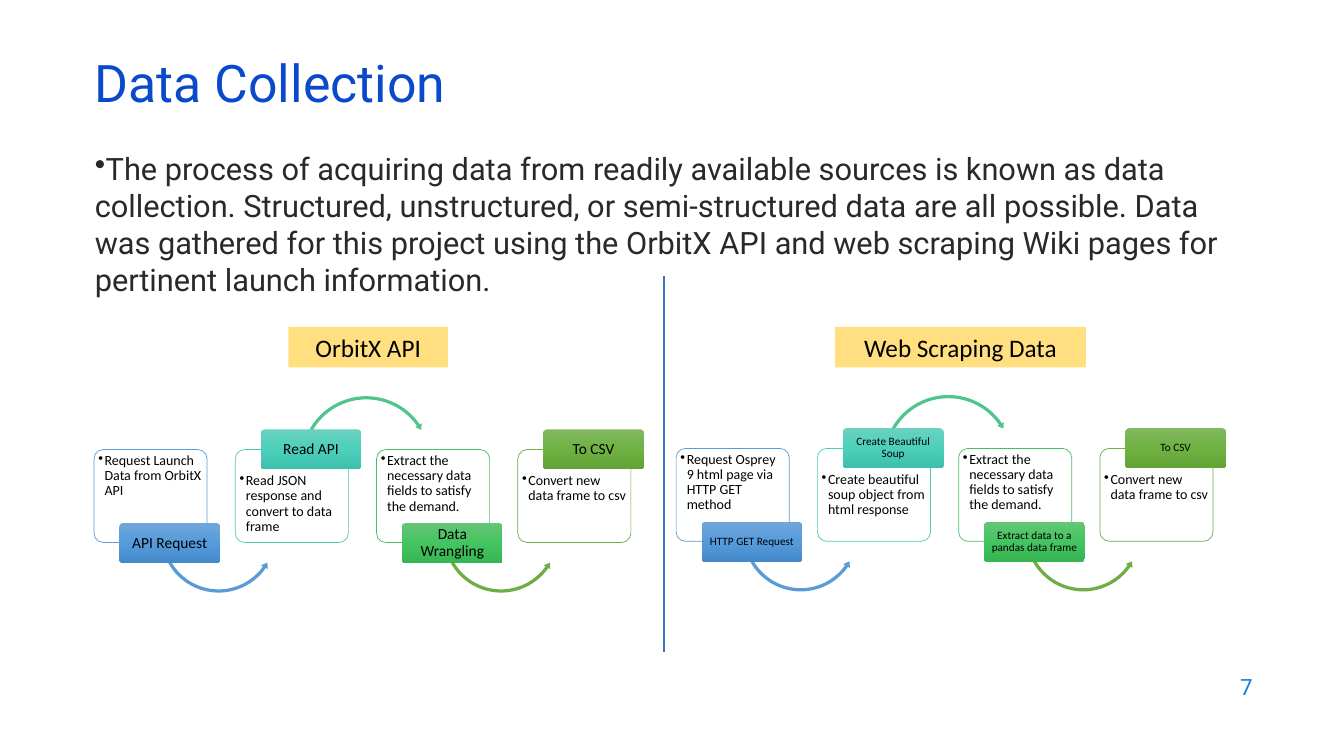
from copy import deepcopy
from lxml import etree
from pptx import Presentation
from pptx import util as u
from pptx.dml.color import RGBColor
from pptx.enum import shapes, text
from pptx.oxml.ns import qn

Cm = u.Cm
KIND = shapes.MSO_SHAPE
ALIGN = text.PP_ALIGN
ANCHOR = text.MSO_ANCHOR
BLACK = "000000"

STEP = 3.56  # cm from one card to the next
# Outline, arrow and the three gradient colours of each step
HUES = [
    ("5B9BD5", "5B9BD5", ("71A6DB", "559BDB", "448ACA")),
    ("52CAB8", "4DC58D", ("6AD1C0", "4CD0BC", "3CC0AC")),
    ("49BF64", "70AD47", ("64C677", "44C460", "36B552")),
    ("70AD47", None, ("81B861", "6FB242", "62A336")),
]
API = [
    ("API Request", "Request Launch Data from OrbitX API"),
    ("Read API", "Read JSON response and convert to data frame"),
    ("Data Wrangling",
     "Extract the necessary data fields to satisfy the demand."),
    ("To CSV", "Convert new data frame to csv"),
]
WEB = [
    ("HTTP GET Request", "Request Osprey 9 html page via HTTP GET method"),
    ("Create Beautiful Soup",
     "Create beautiful soup object from html response"),
    ("Extract data to a pandas data frame", API[2][1]),
    ("To CSV", API[3][1]),
]
INTRO = (
    "The process of acquiring data from readily available sources is known "
    "as data collection. Structured, unstructured, or semi-structured data "
    "are all possible. Data was gathered for this project using the OrbitX "
    "API and web scraping Wiki pages for pertinent launch information."
)


def rgb(code):
    return RGBColor.from_string(code)


def write(shape, words, size, color=BLACK, face="Calibri", align=ALIGN.LEFT,
          anchor=ANCHOR.MIDDLE, pads=None, space=None, hang=None):
    """Fill a shape with one paragraph; hang (cm) makes it a bullet."""
    frame = shape.text_frame
    frame.word_wrap = True
    frame.vertical_anchor = anchor
    if pads:
        (frame.margin_left, frame.margin_top,
         frame.margin_right, frame.margin_bottom) = map(Cm, pads)
    para = frame.paragraphs[0]
    para.text = words
    if hang is not None:
        props = para._p.get_or_add_pPr()
        props.set("marL", str(Cm(hang)))
        props.set("indent", str(-Cm(hang)))
        etree.SubElement(props, qn("a:buChar")).set("char", "•")
    para.alignment = align
    if space:
        para.line_spacing = space
    para.font.size = u.Pt(size)
    para.font.name = face
    para.font.color.rgb = rgb(color)


def add_text(slide, box, words, size, color, **style):
    shape = slide.shapes.add_textbox(*map(Cm, box))
    write(shape, words, size, color, "Roboto", **style)


def add_shape(host, kind, box, fill=None, alpha=100, line=None, adj=()):
    shape = host.shapes.add_shape(kind, *map(Cm, box))
    shape.shadow.inherit = False
    for i, value in enumerate(adj):
        shape.adjustments[i] = value
    if fill:
        shape.fill.solid()
        shape.fill.fore_color.rgb = rgb(fill)
    if alpha < 100:
        tint = shape._element.spPr.find(".//" + qn("a:srgbClr"))
        etree.SubElement(tint, qn("a:alpha")).set("val", str(alpha * 1000))
    if line:
        shape.line.color.rgb = rgb(line)
        shape.line.width = u.Pt(0.5)
    else:
        shape.line.fill.background()
    return shape


def shade(shape, colors):
    """Give a top-down gradient of three colours."""
    shape.fill.gradient()
    shape.fill.gradient_angle = 270
    stops = shape._element.spPr.find(".//" + qn("a:gsLst"))
    mid = deepcopy(stops[0])
    mid.set("pos", "50000")
    stops.insert(1, mid)
    for stop, color in zip(shape.fill.gradient_stops, colors):
        stop.color.rgb = rgb(color)


def add_arrow(host, x, y, high, color):
    if high:
        add_shape(host, KIND.CIRCULAR_ARROW, (x + 1.61, y - 1.4, 3.38, 3.38),
                  color, adj=(0.024, 2.945, 195.3, 125.755, 0.028))
    else:
        add_shape(host, KIND.LEFT_CIRCULAR_ARROW,
                  (x + 1.63, y + 0.64, 3.02, 3.02),
                  color, adj=(0.027, 3.324, 21.079, 90.245, 0.032))


def add_flow(slide, left, top, steps, size):
    """Draw a row of cards with tabs in turn at the foot and the head."""
    group = slide.shapes.add_group_shape()
    for i, ((name, detail), (edge, arrow, tints)) in enumerate(
            zip(steps, HUES)):
        x = left + i * STEP
        high = i % 2 == 1
        card = add_shape(group, KIND.ROUNDED_RECTANGLE, (x, top, 2.85, 2.34),
                         "FFFFFF", 90, edge, (0.1,))
        write(card, detail, 10, anchor=ANCHOR.TOP, space=0.9, hang=0.16,
              pads=(0.04, 0.54 if high else 0.03, 0.04, 0))
        if arrow:
            add_arrow(group, x, top, high, arrow)
        y = top - 0.51 if high else top + 1.85
        tab = add_shape(group, KIND.ROUNDED_RECTANGLE,
                        (x + 0.64, y, 2.54, 1.01), adj=(0.1,))
        shade(tab, tints)
        write(tab, name, size, align=ALIGN.CENTER, space=0.9,
              pads=(0.05, 0.03, 0.05, 0.03))


def add_head(slide, left, width, words):
    head = add_shape(slide, KIND.RECTANGLE, (left, 8.24, width, 1.02),
                     "FFC000", 50)
    write(head, words, 18, align=ALIGN.CENTER)


def add_rule(slide, x, top, end):
    rule = slide.shapes.add_connector(
        shapes.MSO_CONNECTOR.STRAIGHT, Cm(x), Cm(top), Cm(x), Cm(end))
    rule.line.color.rgb = rgb("4472C4")
    rule.line.width = u.Pt(1.5)
    etree.SubElement(rule._element.spPr, qn("a:effectLst"))


def main():
    deck = Presentation()
    deck.slide_width, deck.slide_height = Cm(33.87), Cm(19.05)
    slide = deck.slides.add_slide(deck.slide_layouts[6])
    add_text(slide, (24.2, 16.74, 7.62, 1.12), "7", 16, "1C7DDB",
             align=ALIGN.RIGHT)
    add_text(slide, (2.14, 3.66, 29.2, 13.5), INTRO, 22, "292929",
             anchor=ANCHOR.TOP, hang=0)
    add_text(slide, (2.14, 1.5, 29.2, 1.52), "Data Collection", 37, "0B49CB",
             space=0.7)
    add_flow(slide, 2.37, 11.33, API, 11)
    add_head(slide, 7.27, 4.02, "OrbitX API")
    add_flow(slide, 17.04, 11.3, WEB, 8)
    add_head(slide, 21.04, 6.33, "Web Scraping Data")
    add_rule(slide, 16.74, 6.96, 16.44)
    deck.save("out.pptx")


if __name__ == "__main__":
    main()
